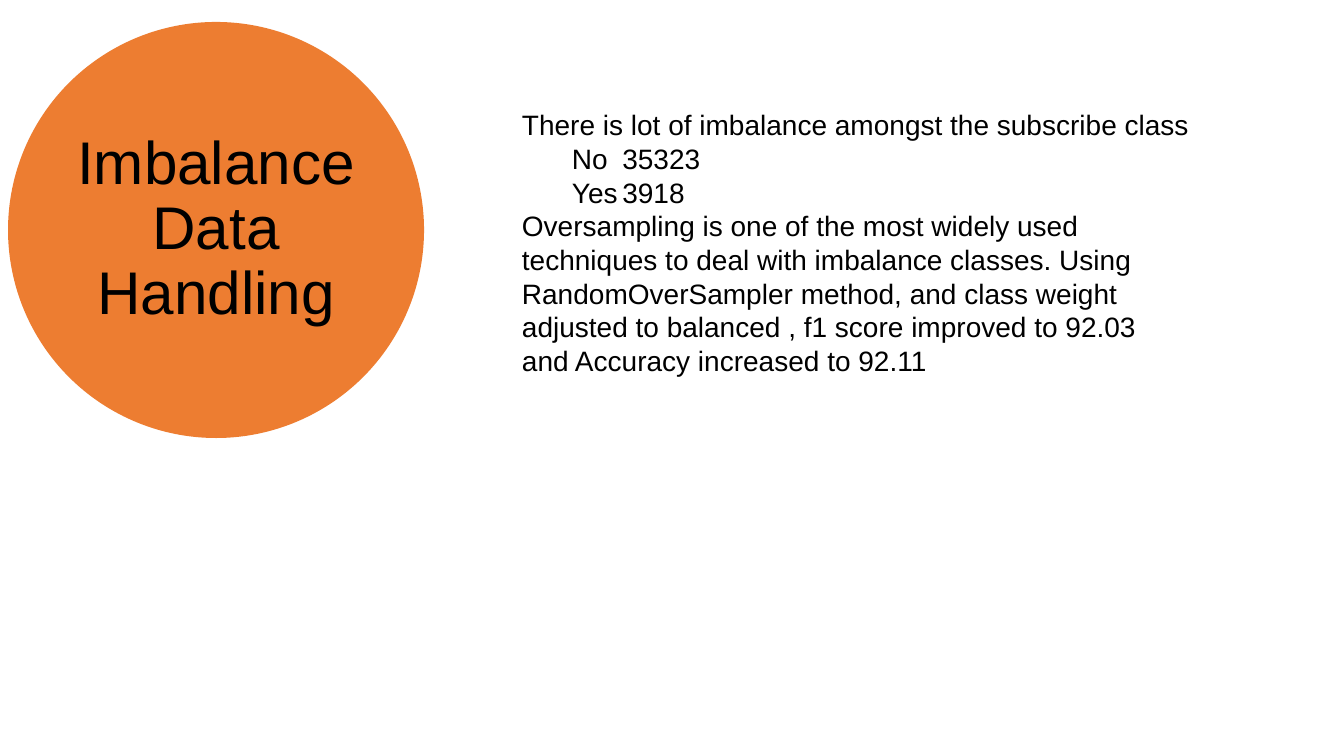
from lxml.etree import SubElement
from pptx import Presentation
from pptx.dml.color import RGBColor
from pptx.enum.shapes import MSO_SHAPE
from pptx.enum.text import MSO_ANCHOR, PP_ALIGN
from pptx.oxml.ns import qn
from pptx.util import Pt

ORANGE = RGBColor(0xED, 0x7D, 0x31)
BLACK = RGBColor(0, 0, 0)
EMU_PER_INCH = 914400
PX_PER_INCH = 100.8


def px(length):
    return round(length * EMU_PER_INCH / PX_PER_INCH)


class SlideBuilder:
    """Adds elements in one common style to the current slide."""

    def __init__(self, slide, font_name, text_color):
        self.slide = slide
        self.font_name = font_name
        self.text_color = text_color

    def style(self, paragraph, size):
        paragraph.font.name = self.font_name
        paragraph.font.size = Pt(size)
        paragraph.font.color.rgb = self.text_color

    def title_circle(self, left, top, diameter, title, size, fill):
        circle = self.slide.shapes.add_shape(
            MSO_SHAPE.OVAL, px(left), px(top), px(diameter), px(diameter))
        circle.shadow.inherit = False
        circle.fill.solid()
        circle.fill.fore_color.rgb = fill
        circle.line.fill.background()
        frame = circle.text_frame
        frame.word_wrap = True
        frame.vertical_anchor = MSO_ANCHOR.MIDDLE
        frame.margin_left = frame.margin_right = px(6)
        frame.margin_top = frame.margin_bottom = px(6)
        heading = frame.paragraphs[0]
        heading.text = title
        heading.alignment = PP_ALIGN.CENTER
        heading.line_spacing = 0.9
        self.style(heading, size)

    def body(self, left, top, width, height, entries, size):
        frame = self.slide.shapes.add_textbox(
            px(left), px(top), px(width), px(height)).text_frame
        frame.word_wrap = True
        for index, (wording, indent, tab) in enumerate(entries):
            paragraph = frame.paragraphs[0] if index == 0 else frame.add_paragraph()
            paragraph.text = wording
            if tab:
                self.indent_with_tab(paragraph, indent, tab)
            self.style(paragraph, size)

    def indent_with_tab(self, paragraph, indent, tab):
        paragraph.level = 1
        properties = paragraph._p.get_or_add_pPr()
        properties.set("marL", str(px(indent)))
        properties.set("indent", "0")
        stops = SubElement(properties, qn("a:tabLst"))
        SubElement(stops, qn("a:tab"), pos=str(px(tab)), algn="l")


def main():
    presentation = Presentation()
    presentation.slide_width = px(1344)
    presentation.slide_height = px(756)
    slide = presentation.slides.add_slide(presentation.slide_layouts[6])
    builder = SlideBuilder(slide, "Arial", BLACK)
    builder.title_circle(8, 22, 416, "Imbalance Data Handling", 43, ORANGE)
    findings = [
        ("There is lot of imbalance amongst the subscribe class", 0, 0),
        ("No\t35323", 50, 125),
        ("Yes\t3918", 50, 150),
        ("Oversampling is one of the most widely used techniques to deal with "
         "imbalance classes. Using RandomOverSampler method, and class weight "
         "adjusted to balanced , f1 score improved to 92.03 and Accuracy "
         "increased to 92.11", 0, 0),
    ]
    builder.body(512, 103, 688, 373, findings, 20)
    presentation.save("out.pptx")


if __name__ == "__main__":
    main()
